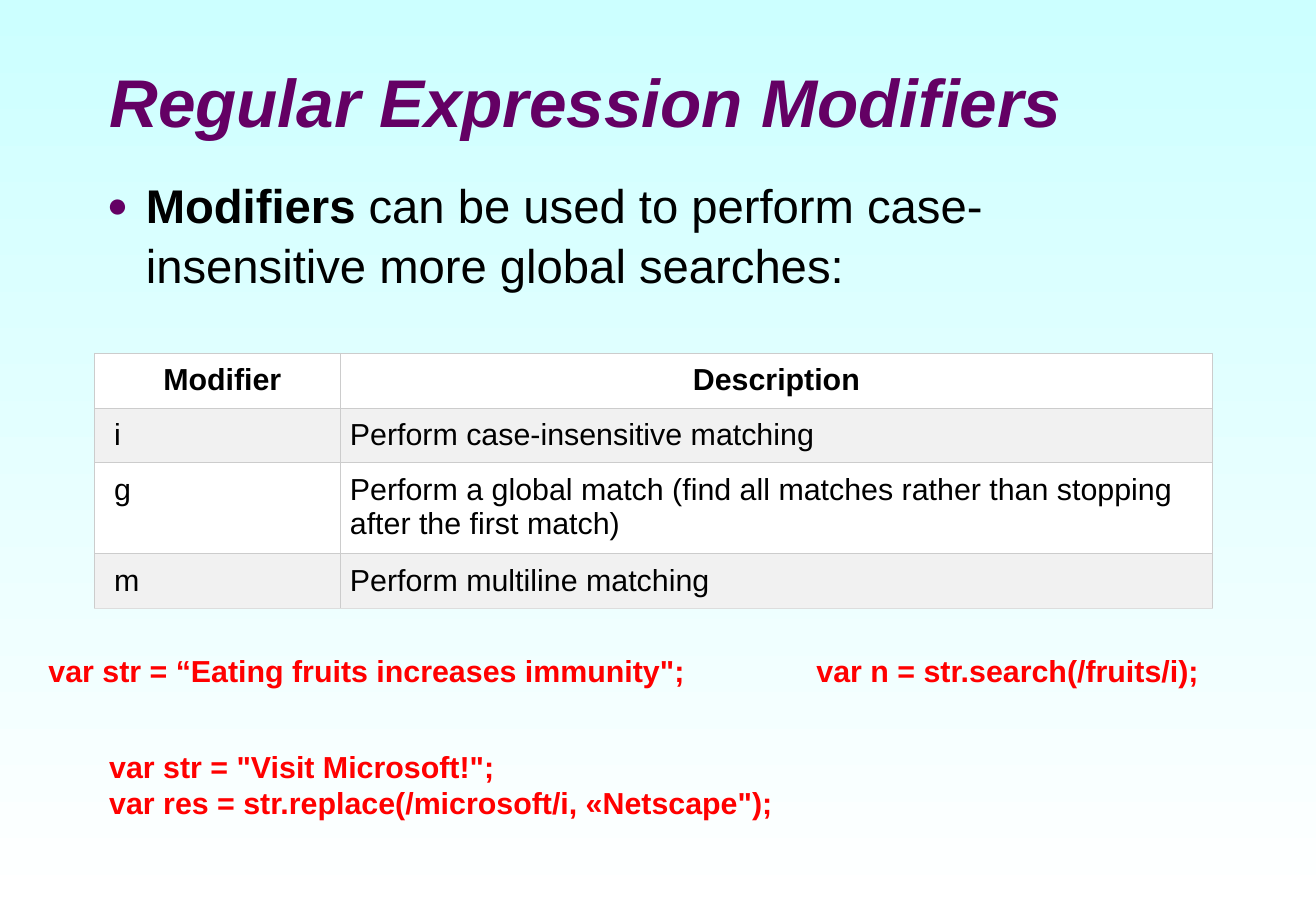
from dataclasses import dataclass

from lxml import etree
from pptx import Presentation
from pptx.dml.color import RGBColor
from pptx.enum.text import MSO_ANCHOR, MSO_AUTO_SIZE, PP_ALIGN
from pptx.oxml.ns import qn
from pptx.util import Inches, Pt

LEFT, CENTER = PP_ALIGN.LEFT, PP_ALIGN.CENTER
TOP, MIDDLE = MSO_ANCHOR.TOP, MSO_ANCHOR.MIDDLE
NO_FIT, GROW = MSO_AUTO_SIZE.NONE, MSO_AUTO_SIZE.SHAPE_TO_FIT_TEXT

# Square grid: ten cells to the inch
CELL = Inches(0.1)
COLUMNS, ROWS = 108.3, 75


@dataclass(frozen=True)
class Theme:
    font: str = "Arial"
    accent: str = "640064"
    text: str = "000000"
    code: str = "FF0000"
    sky: str = "CCFFFF"
    white: str = "FFFFFF"
    band: str = "F1F1F1"
    border: str = "CCCCCC"
    bottom_border: str = "DDDDDD"
    title_size: int = 40
    body_size: int = 28
    small_size: int = 18


THEME = Theme()
HEADER = ("Modifier", "Description")
MODIFIERS = [
    ("i", "Perform case-insensitive matching"),
    ("g", "Perform a global match (find all matches rather than stopping after the first match)"),
    ("m", "Perform multiline matching"),
]
TABLE_COLUMNS = (20.2, 71.8)
TABLE_ROWS = (4.5, 4.5, 7.5, 4.5)
CODE_BOXES = [
    ((66.2, 53.2, 33.8, 4), False, ["var n = str.search(/fruits/i);"]),
    ((3, 53.2, 54.9, 4), False, ['var str = “Eating fruits increases immunity";']),
    ((8, 61.1, 93.5, 7.1), True, [
        'var str = "Visit Microsoft!";',
        'var res = str.replace(/microsoft/i, «Netscape");',
    ]),
]


def grid(*cells):
    return [round(count * CELL) for count in cells]


def set_format(target, values):
    for name, value in values.items():
        setattr(target, name, value)


def add_run(paragraph, text, size, color, bold=False, italic=False):
    run = paragraph.add_run()
    run.text = text
    set_format(run.font, {"name": THEME.font, "size": Pt(size), "bold": bold, "italic": italic})
    run.font.color.rgb = RGBColor.from_string(color)


def place(shape, cells):
    set_format(shape, dict(zip(("left", "top", "width", "height"), grid(*cells))))


def paint_background(slide):
    fill = slide.background.fill
    fill.gradient()
    fill.gradient_angle = 270
    for stop, color, position in zip(fill.gradient_stops, (THEME.sky, THEME.white), (0, 1)):
        stop.color.rgb = RGBColor.from_string(color)
        stop.position = position


def fill_title(shape):
    place(shape, (8, 4.2, 91.8, 8.2))
    set_format(shape.text_frame, {"vertical_anchor": MIDDLE, "auto_size": NO_FIT, "word_wrap": True})
    paragraph = shape.text_frame.paragraphs[0]
    paragraph.alignment = LEFT
    add_run(paragraph, "Regular Expression Modifiers", THEME.title_size, THEME.accent, True, True)


def add_bullet(paragraph):
    properties = paragraph._p.get_or_add_pPr()
    indent = Inches(0.32)
    properties.set("marL", str(indent))
    properties.set("indent", str(-indent))
    color = etree.SubElement(properties, qn("a:buClr"))
    etree.SubElement(color, qn("a:srgbClr"), val=THEME.accent)
    etree.SubElement(properties, qn("a:buSzPct"), val="75000")
    etree.SubElement(properties, qn("a:buFont"), typeface=THEME.font)
    etree.SubElement(properties, qn("a:buChar"), char="●")


def fill_body(shape):
    place(shape, (7.8, 13.8, 92, 12.7))
    set_format(shape.text_frame, {"vertical_anchor": TOP, "auto_size": NO_FIT, "word_wrap": True})
    paragraph = shape.text_frame.paragraphs[0]
    add_bullet(paragraph)
    set_format(paragraph, {"alignment": LEFT, "space_before": Pt(0), "line_spacing": 1.05})
    add_run(paragraph, "Modifiers", THEME.body_size, THEME.text, True)
    add_run(paragraph, " can be used to perform case-insensitive more global searches:",
            THEME.body_size, THEME.text)


def set_borders(cell, bottom_color):
    properties = cell._tc.get_or_add_tcPr()
    colors = {"lnL": THEME.border, "lnR": THEME.border, "lnT": THEME.border, "lnB": bottom_color}
    for side, color in colors.items():
        line = etree.SubElement(properties, qn(f"a:{side}"), w=str(Pt(0.75)))
        fill = etree.SubElement(line, qn("a:solidFill"))
        etree.SubElement(fill, qn("a:srgbClr"), val=color)


def add_modifier_table(slide):
    frame = slide.shapes.add_table(len(TABLE_ROWS), len(TABLE_COLUMNS),
                                   *grid(7.8, 29.1, sum(TABLE_COLUMNS), sum(TABLE_ROWS)))
    table = frame.table
    for column, width in zip(table.columns, grid(*TABLE_COLUMNS)):
        column.width = width
    for row, height in zip(table.rows, grid(*TABLE_ROWS)):
        row.height = height

    for row_index, texts in enumerate([HEADER, *MODIFIERS]):
        is_header = row_index == 0
        is_last = row_index == len(MODIFIERS)
        for column_index, text in enumerate(texts):
            cell = table.cell(row_index, column_index)
            set_borders(cell, THEME.bottom_border if is_last else THEME.border)
            cell.fill.solid()
            cell.fill.fore_color.rgb = RGBColor.from_string(THEME.band if row_index % 2 else THEME.white)
            margin = Inches(0.08)
            set_format(cell, {
                "margin_left": margin if column_index else 2 * margin,
                "margin_right": margin, "margin_top": margin, "margin_bottom": margin,
                "vertical_anchor": TOP,
            })
            paragraph = cell.text_frame.paragraphs[0]
            paragraph.alignment = CENTER if is_header else LEFT
            add_run(paragraph, text, THEME.small_size, THEME.text, is_header)


def add_code(slide, cells, wrap, lines):
    frame = slide.shapes.add_textbox(*grid(*cells)).text_frame
    set_format(frame, {"word_wrap": wrap, "auto_size": GROW, "vertical_anchor": TOP})
    for index, line in enumerate(lines):
        paragraph = frame.add_paragraph() if index else frame.paragraphs[0]
        add_run(paragraph, line, THEME.small_size, THEME.code, True)


def main():
    presentation = Presentation()
    presentation.slide_width, presentation.slide_height = grid(COLUMNS, ROWS)
    slide = presentation.slides.add_slide(presentation.slide_layouts[1])

    # Background, title and bullet
    paint_background(slide)
    fill_title(slide.shapes.title)
    fill_body(slide.placeholders[1])

    # Modifier table and code samples
    add_modifier_table(slide)
    for cells, wrap, lines in CODE_BOXES:
        add_code(slide, cells, wrap, lines)

    presentation.save("out.pptx")


if __name__ == "__main__":
    main()
